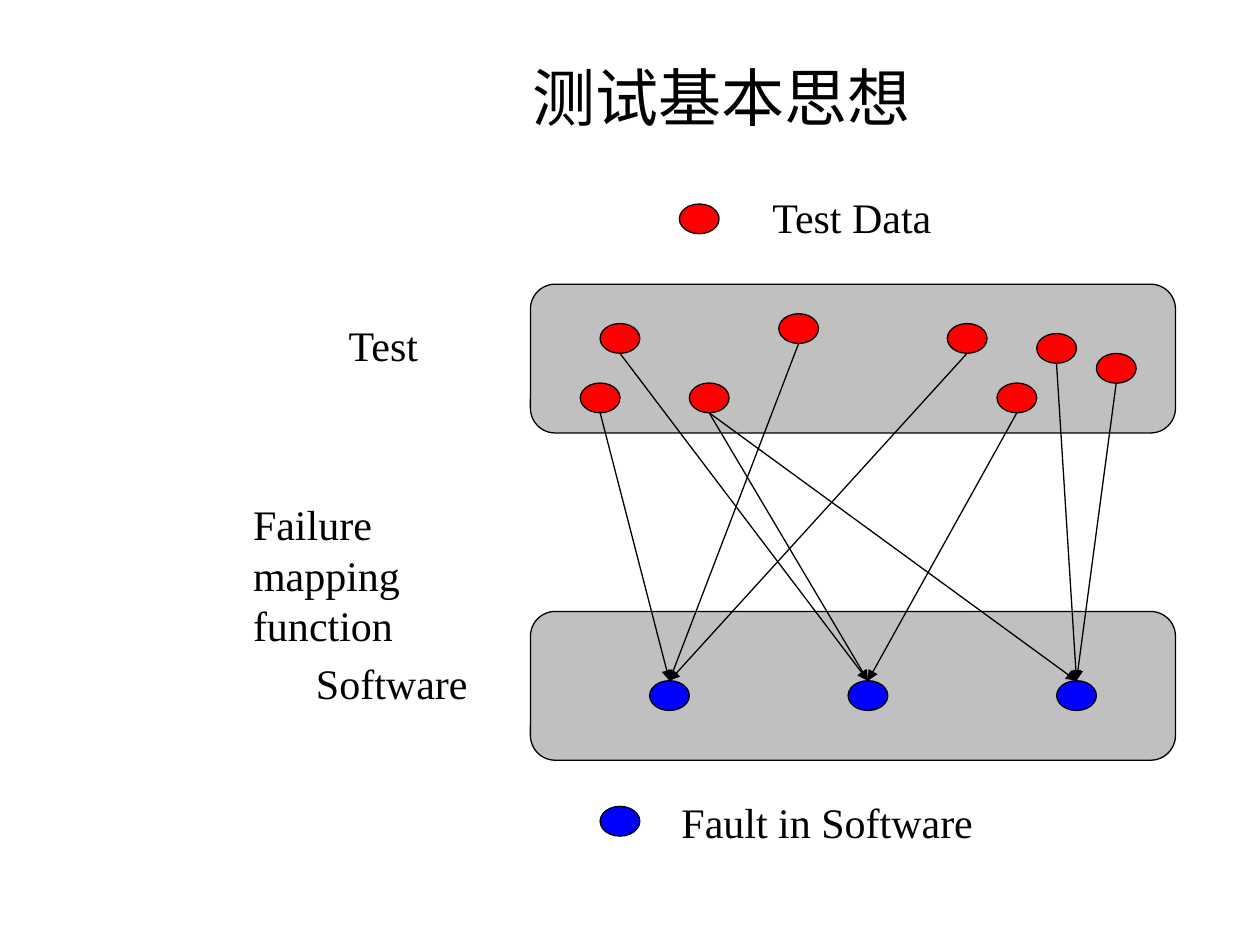
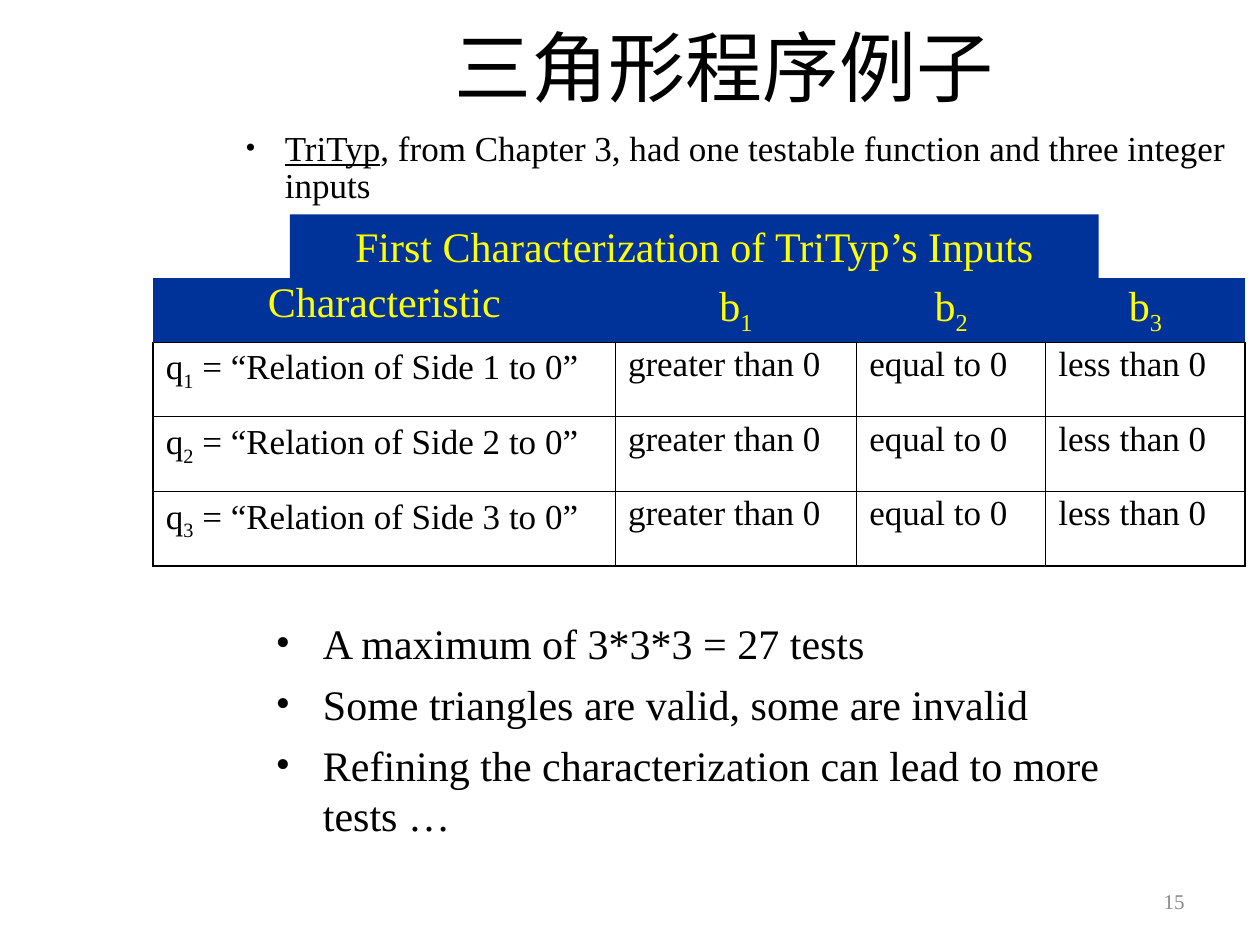
from dataclasses import dataclass

from lxml.etree import SubElement
from pptx import Presentation
from pptx.dml.color import RGBColor
from pptx.enum.shapes import MSO_CONNECTOR, MSO_SHAPE
from pptx.enum.text import MSO_ANCHOR as Anchor, PP_ALIGN as Align
from pptx.oxml.ns import qn
from pptx.util import Pt


@dataclass(frozen=True)
class Theme:
    font: str = "Times New Roman"
    black: RGBColor = RGBColor(0, 0, 0)
    white: RGBColor = RGBColor(255, 255, 255)
    panel: RGBColor = RGBColor(0xC0, 0xC0, 0xC0)
    test: RGBColor = RGBColor(255, 0, 0)
    fault: RGBColor = RGBColor(0, 0, 255)
    band: RGBColor = RGBColor(0, 0x33, 0x99)
    band_text: RGBColor = RGBColor(255, 255, 0)
    muted: RGBColor = RGBColor(0x89, 0x89, 0x89)
    title: int = 36
    big_title: int = 44
    body: int = 24
    small: int = 20
    footer: int = 12
    outline: float = 0.75
    grid: float = 0.45
    frame: float = 1.08


theme = Theme()


def write(paragraph, text, size=theme.body, color=theme.black, subscript=False, underline=None):
    run = paragraph.add_run()
    run.text = text
    run.font.name = theme.font
    run.font.size = Pt(size)
    run.font.color.rgb = color
    run.font.underline = underline
    if subscript:
        run.font._element.set("baseline", "-25000")


def add_text(slide, box, lines, size=theme.body, color=theme.black,
             align=Align.LEFT, anchor=Anchor.TOP, wrap=True):
    """Put one paragraph per line into a text box; return its paragraphs."""
    frame = slide.shapes.add_textbox(*map(Pt, box)).text_frame
    frame.word_wrap = wrap
    frame.vertical_anchor = anchor
    for number, line in enumerate(lines):
        paragraph = frame.add_paragraph() if number else frame.paragraphs[0]
        paragraph.alignment = align
        if line:
            write(paragraph, line, size, color)
    return frame.paragraphs


deck = Presentation()
deck.slide_width, deck.slide_height = Pt(720), Pt(540)
blank = deck.slide_layouts[6]

# Slide 1: tests mapped to faults
mapping = deck.slides.add_slide(blank)
add_text(mapping, (140.4, 21.6, 543.6, 67), ["测试基本思想"], theme.title,
         align=Align.CENTER, anchor=Anchor.MIDDLE)

DOT_W, DOT_H = 22.7, 17
tests = {
    "upper left": (342.9, 184.9),
    "lower left": (331.6, 218.9),
    "lower middle": (393.9, 218.9),
    "upper middle": (445, 179.3),
    "lower right": (569.7, 218.9),
    "upper right": (541.3, 184.9),
    "far right": (626.5, 202),
    "near right": (592.4, 190.6),
}
FAULT_TOP = 389
faults = {"first": 371.2, "second": 484.6, "third": 603.8}
failures = [
    ("lower left", "first"), ("lower middle", "second"), ("upper middle", "first"),
    ("upper left", "second"), ("lower middle", "third"), ("lower right", "second"),
    ("far right", "third"), ("near right", "third"), ("upper right", "first"),
]

test_key, fault_key = (388.2, 116.6), (342.9, 460.8)
outlined = [(MSO_SHAPE.ROUNDED_RECTANGLE, theme.panel, (303.1, top, 368.6, 85))
            for top in (162.4, 349.4)]
outlined += [(MSO_SHAPE.OVAL, theme.test, (*place, DOT_W, DOT_H))
             for place in (*tests.values(), test_key)]
outlined += [(MSO_SHAPE.OVAL, theme.fault, (*place, DOT_W, DOT_H))
             for place in (*((left, FAULT_TOP) for left in faults.values()), fault_key)]
for kind, color, box in outlined:
    shape = mapping.shapes.add_shape(kind, *map(Pt, box))
    shape.shadow.inherit = False
    shape.fill.solid()
    shape.fill.fore_color.rgb = color
    shape.line.color.rgb = theme.black
    shape.line.width = Pt(theme.outline)

for test, fault in failures:
    left, top = tests[test]
    arrow = mapping.shapes.add_connector(
        MSO_CONNECTOR.STRAIGHT, Pt(left + DOT_W / 2), Pt(top + DOT_H),
        Pt(faults[fault] + DOT_W / 2), Pt(FAULT_TOP))
    arrow.line.color.rgb = theme.black
    arrow.line.width = Pt(theme.outline)
    SubElement(arrow.line._get_or_add_ln(), qn("a:tailEnd"), type="triangle")
    SubElement(arrow._element.spPr, qn("a:effectLst"))

for box, lines in [
    ((192.2, 179.3, 55.4, 36), ["Test"]),
    ((173.5, 372.2, 100.8, 36), ["Software"]),
    ((137.5, 281.5, 172.1, 65), ["Failure mapping", "function"]),
    ((382.3, 451.4, 236.2, 36), ["Fault in Software"]),
    ((434.2, 105.8, 106.6, 36), ["Test Data"]),
]:
    add_text(mapping, box, lines, wrap=False if box[2] < 200 else True)

# Slide 2: triangle program
triangle = deck.slides.add_slide(blank)
add_text(triangle, (516.2, 500.4, 167.8, 28.8), ["15"], theme.footer, theme.muted,
         Align.RIGHT, Anchor.MIDDLE)
add_text(triangle, (108, -2.2, 612, 80), ["三角形程序例子"], theme.big_title,
         align=Align.CENTER, anchor=Anchor.MIDDLE)

conclusions = add_text(triangle, (150.5, 349.2, 532.8, 136), [
    "A maximum of 3*3*3 = 27 tests",
    "Some triangles are valid, some are invalid",
    "Refining the characterization can lead to more tests …",
])
for paragraph in conclusions[1:]:
    paragraph.space_before = Pt(6)

intro = add_text(triangle, (133.2, 71.3, 576, 67), [""])
intro[0].line_spacing = 0.9
write(intro[0], "TriTyp", theme.small, underline=True)
write(intro[0], ", from Chapter 3, had one testable function and three integer inputs",
      theme.small)

for paragraphs, indent, percent in [(conclusions, 27, 100), (intro, 22.5, 85)]:
    for paragraph in paragraphs:
        properties = paragraph._p.get_or_add_pPr()
        properties.set("marL", str(Pt(indent)))
        properties.set("indent", str(-Pt(indent)))
        bullet_color = SubElement(properties, qn("a:buClr"))
        SubElement(bullet_color, qn("a:srgbClr"), val=str(theme.black))
        SubElement(properties, qn("a:buSzPct"), val=str(percent * 1000))
        SubElement(properties, qn("a:buFont"), typeface=theme.font)
        SubElement(properties, qn("a:buChar"), char="•")

# Each cell is a list of (text, is subscript) runs
answers = [[(answer, False)] for answer in ("greater than 0", "equal to 0", "less than 0")]
rows = [[[("Characteristic", False)]] + [[("b", False), (str(n), True)] for n in (1, 2, 3)]]
rows += [[[("q", False), (str(side), True), (f" = “Relation of Side {side} to 0”", False)],
          *answers] for side in (1, 2, 3)]
last_row, last_column = len(rows) - 1, len(rows[0]) - 1

sides = triangle.shapes.add_table(len(rows), len(rows[0]), Pt(87.6), Pt(158.6),
                                  Pt(624), Pt(165)).table
sides.first_row = sides.horz_banding = False
NO_STYLE = "{2D5ABB26-0587-4C30-8999-92F81FD0307C}"
sides._tbl.tblPr.find(qn("a:tableStyleId")).text = NO_STYLE
for column, width in zip(sides.columns, (264.1, 137.9, 108, 114)):
    column.width = Pt(width)
for row, height in zip(sides.rows, (36.9, 42.7, 42.7, 42.7)):
    row.height = Pt(height)

for r, row in enumerate(rows):
    for c, runs in enumerate(row):
        cell = sides.cell(r, c)
        header = r == 0
        edges = {
            "lnL": theme.frame if c == 0 else theme.grid,
            "lnR": theme.frame if c == last_column else theme.grid,
            "lnT": theme.grid,
            "lnB": theme.frame if r == last_row else theme.grid,
        }
        for edge, width in edges.items():
            if header and edge != "lnB":
                continue
            border = SubElement(cell._tc.get_or_add_tcPr(), qn(f"a:{edge}"), w=str(Pt(width)))
            ink = SubElement(border, qn("a:solidFill"))
            SubElement(ink, qn("a:srgbClr"), val=str(theme.black))
        cell.fill.solid()
        cell.fill.fore_color.rgb = theme.band if header else theme.white
        paragraph = cell.text_frame.paragraphs[0]
        paragraph.line_spacing = 0.9
        paragraph.alignment = Align.CENTER if header else Align.LEFT
        for text, subscript in runs:
            write(paragraph, text, theme.body if header else theme.small,
                  theme.band_text if header else theme.black, subscript)

banner = triangle.shapes.add_shape(MSO_SHAPE.RECTANGLE, Pt(165.6), Pt(122.6), Pt(462.2), Pt(36.4))
banner.shadow.inherit = False
banner.fill.solid()
banner.fill.fore_color.rgb = theme.band
banner.line.fill.background()
banner.text_frame.word_wrap = True
banner.text_frame.vertical_anchor = Anchor.TOP
caption = banner.text_frame.paragraphs[0]
caption.alignment = Align.CENTER
write(caption, "First Characterization of TriTyp’s Inputs", color=theme.band_text)

deck.save("out.pptx")
